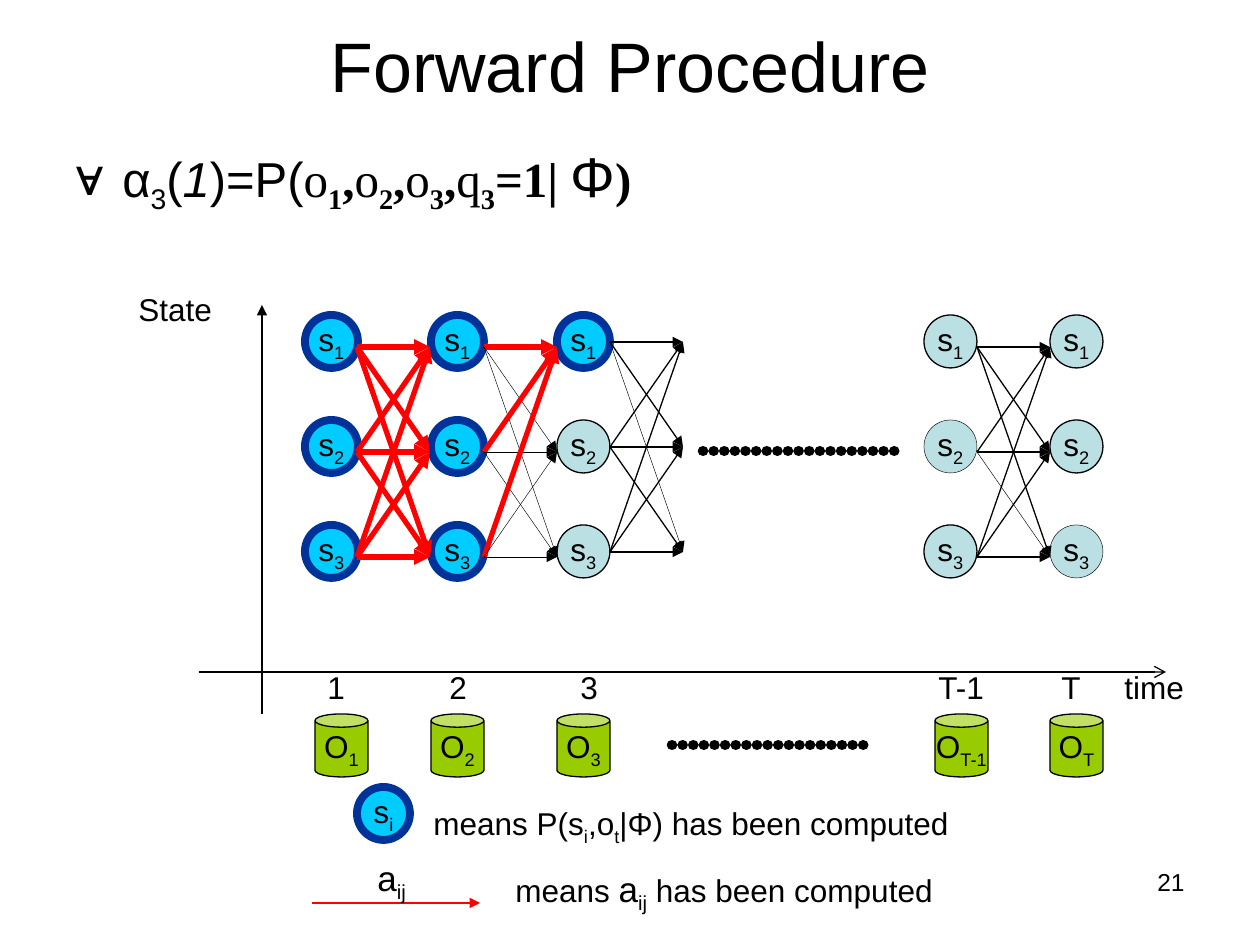
from lxml.etree import SubElement
from pptx import Presentation
from pptx.dml.color import RGBColor
from pptx.enum.shapes import MSO_CONNECTOR as Connector, MSO_SHAPE as Shape
from pptx.enum.text import MSO_ANCHOR as Anchor, PP_ALIGN as Align
from pptx.oxml.ns import qn
from pptx.util import Emu, Pt

BLACK = RGBColor(0x00, 0x00, 0x00)
RED = RGBColor(0xFF, 0x00, 0x00)
CYAN = RGBColor(0x00, 0xCC, 0xFF)
NAVY = RGBColor(0x00, 0x33, 0x99)
PALE = RGBColor(0xBB, 0xE0, 0xE3)
GREEN = RGBColor(0x99, 0xCC, 0x00)

# Content: a run is (text, style words, size)
TITLE = [("Forward Procedure", "", 40)]
FORMULA = [
    ("α", "", 28), ("3", "sub", 28), ("(", "", 28), ("1", "italic", 28), (")=P(", "", 28),
    ("o", "serif", 28), ("1", "serif bold sub", 28), (",", "serif bold", 28),
    ("o", "serif", 28), ("2", "serif bold sub", 28), (",", "serif bold", 28),
    ("o", "serif", 28), ("3", "serif bold sub", 28), (",", "serif bold", 28),
    ("q", "serif", 28), ("3", "serif bold sub", 28), ("=1| ", "serif bold", 28),
    ("Φ", "", 32), (")", "serif bold", 28),
]
A_IJ = [("a", "", 20), ("ij", "sub", 20)]
STATE_LEGEND = [("means P(s", "", 18), ("i", "sub", 18), (",o", "", 18), ("t", "sub", 18),
                ("|Φ) has been computed", "", 18)]
ARROW_LEGEND = [("means ", "", 18), *A_IJ, (" has been computed", "", 18)]

# Trellis: left edge, number of computed states, and rows with a hairline outline
COLUMNS = [(305, 3, ()), (431, 3, ()), (557, 1, ()), (924, 0, (1,)), (1050, 0, (2,))]
ROW_TOPS = [315, 420, 525]
NODE = 53

# Transitions: left edge, first row height, default style, exceptions by (from, to) row
THICK, THIN, HAIR = (RED, 3), (BLACK, 0.75), (BLACK, 0.25)
TRANSITIONS = [
    (357, 347, THICK, {}),
    (484, 347, HAIR, {(row, 0): THICK for row in range(3)}),
    (610, 342, THIN, {(0, 2): HAIR}),
    (977, 347, THIN, {(1, 2): HAIR}),
]
TRANSITION_WIDTH = 73

OBSERVATIONS = [(315, "1"), (431, "2"), (557, "3"), (935, "T-1"), (1050, "T")]
TIME_LABELS = ["1", "2", "3", "T-1", "T", "time"]
TIME_TABS = [122, 253, 611, 734, 797]


def px(value):
    return Emu(round(value * 914400 / 126))


def write(paragraph, runs):
    for text, style, size in runs:
        run = paragraph.add_run()
        run.text = text
        font = run.font
        font.size = Pt(size)
        font.name = "Times New Roman" if "serif" in style else "Arial"
        font.color.rgb = BLACK
        font.bold = "bold" in style
        font.italic = "italic" in style
        if "sub" in style:
            font._element.set("baseline", "-25000")


def add_text(slide, left, top, width, height, runs, align=Align.LEFT, anchor=Anchor.TOP):
    frame = slide.shapes.add_textbox(px(left), px(top), px(width), px(height)).text_frame
    frame.word_wrap = True
    frame.vertical_anchor = anchor
    paragraph = frame.paragraphs[0]
    paragraph.alignment = align
    write(paragraph, runs)
    return paragraph


def add_labelled(slide, kind, left, top, height, letter, index, fill, color, weight):
    shape = slide.shapes.add_shape(kind, px(left), px(top), px(NODE), px(height))
    shape.shadow.inherit = False
    shape.fill.solid()
    shape.fill.fore_color.rgb = fill
    shape.line.color.rgb = color
    shape.line.width = Pt(weight)
    frame = shape.text_frame
    frame.word_wrap = False
    frame.vertical_anchor = Anchor.MIDDLE
    frame.paragraphs[0].alignment = Align.CENTER
    write(frame.paragraphs[0], [(letter, "", 18), (index, "sub", 18)])


def add_state(slide, left, top, index, computed, outline=0.75):
    look = (CYAN, NAVY, 4.5) if computed else (PALE, BLACK, outline)
    add_labelled(slide, Shape.OVAL, left, top, NODE, "s", index, *look)


def add_line(slide, start, end, color, weight, head="triangle", dotted=False):
    line = slide.shapes.add_connector(Connector.STRAIGHT, *map(px, start + end))
    line.line.color.rgb = color
    line.line.width = Pt(weight)
    properties = line._element.spPr
    outline = properties.find(qn("a:ln"))
    if dotted:
        outline.set("cap", "rnd")
        dashes = SubElement(outline, qn("a:custDash"))
        SubElement(dashes, qn("a:ds"), d="1000", sp="100000")
    if head:
        SubElement(outline, qn("a:tailEnd"), type=head)
    SubElement(properties, qn("a:effectLst"))


def main():
    presentation = Presentation()
    presentation.slide_width, presentation.slide_height = px(1260), px(945)
    slide = presentation.slides.add_slide(presentation.slide_layouts[6])

    # Title and formula
    add_text(slide, 63, 16, 1134, 97, TITLE, Align.CENTER, Anchor.MIDDLE)
    formula = add_text(slide, 63, 135, 1134, 709, FORMULA)
    properties = formula._p.get_or_add_pPr()
    properties.set("marL", str(px(47)))
    properties.set("indent", str(-px(47)))
    SubElement(properties, qn("a:buFont"), typeface="Arial")
    SubElement(properties, qn("a:buChar"), char="∀")

    # Axes
    add_line(slide, (199, 672), (1166, 672), BLACK, 0.75, "arrow")
    add_line(slide, (262, 714), (262, 305), BLACK, 0.75)
    add_text(slide, 126, 284, 106, 50, [("State", "", 18)])
    times = add_text(slide, 315, 662, 900, 50, [("\t".join(TIME_LABELS), "", 18)])
    tabs = SubElement(times._p.get_or_add_pPr(), qn("a:tabLst"))
    for position in TIME_TABS:
        SubElement(tabs, qn("a:tab"), pos=str(px(position)), algn="l")

    # States
    for left, computed, hairline_rows in COLUMNS:
        for row, top in enumerate(ROW_TOPS):
            add_state(slide, left, top, str(row + 1), row < computed,
                      0.25 if row in hairline_rows else 0.75)

    # Transitions
    pitch = ROW_TOPS[1] - ROW_TOPS[0]
    for left, first, default, exceptions in TRANSITIONS:
        for source in range(3):
            for target in range(3):
                style = exceptions.get((source, target), default)
                add_line(slide, (left, first + source * pitch),
                         (left + TRANSITION_WIDTH, first + target * pitch), *style)

    # Observations
    for left, index in OBSERVATIONS:
        add_labelled(slide, Shape.CAN, left, 714, 63, "O", index, GREEN, BLACK, 0.75)

    # Omitted time steps
    for left, top in [(703, 451), (672, 745)]:
        add_line(slide, (left, top), (left + 200, top), BLACK, 6, None, dotted=True)

    # Legend
    add_state(slide, 357, 787, "i", True)
    add_text(slide, 421, 798, 548, 55, STATE_LEGEND)
    add_line(slide, (312, 903), (480, 903), RED, 0.75)
    add_text(slide, 365, 850, 60, 60, A_IJ)
    add_text(slide, 503, 861, 450, 60, ARROW_LEGEND)

    # Slide number
    add_text(slide, 903, 861, 294, 66, [("21", "", 14)], Align.RIGHT)

    presentation.save("out.pptx")


if __name__ == "__main__":
    main()
